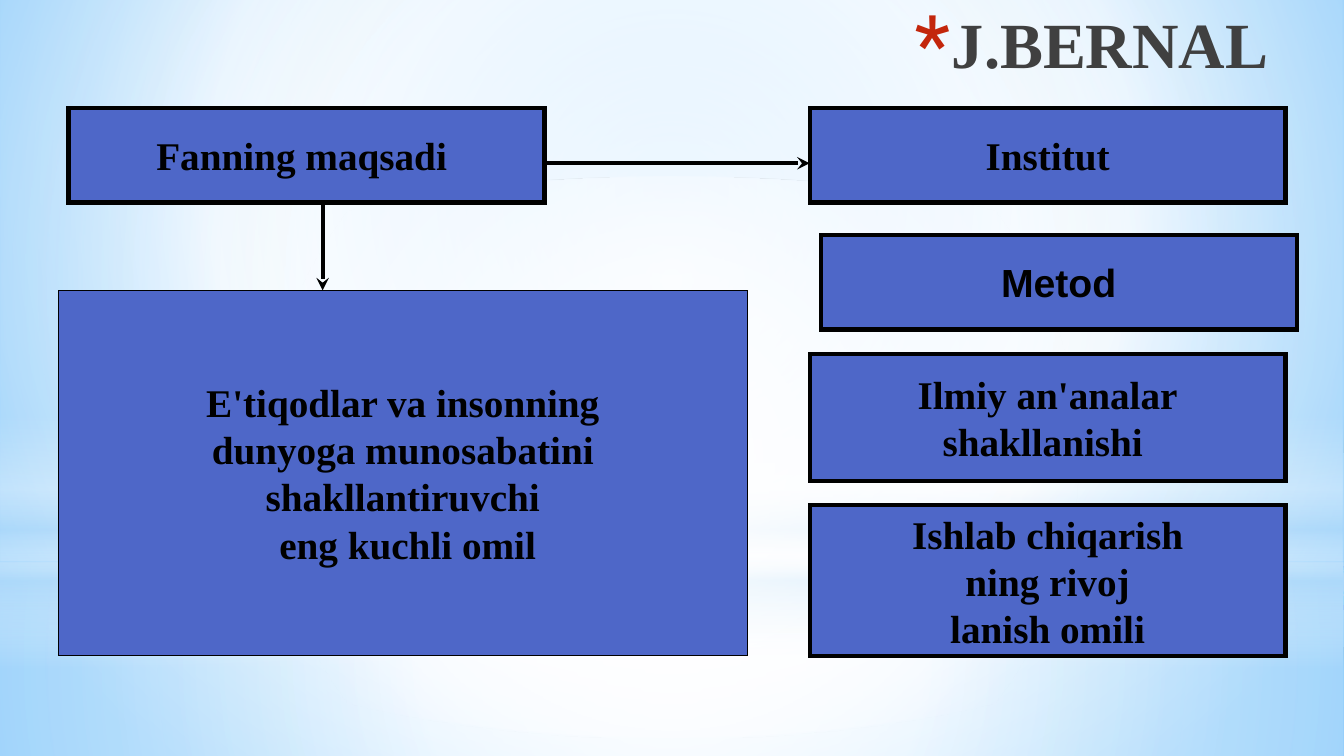
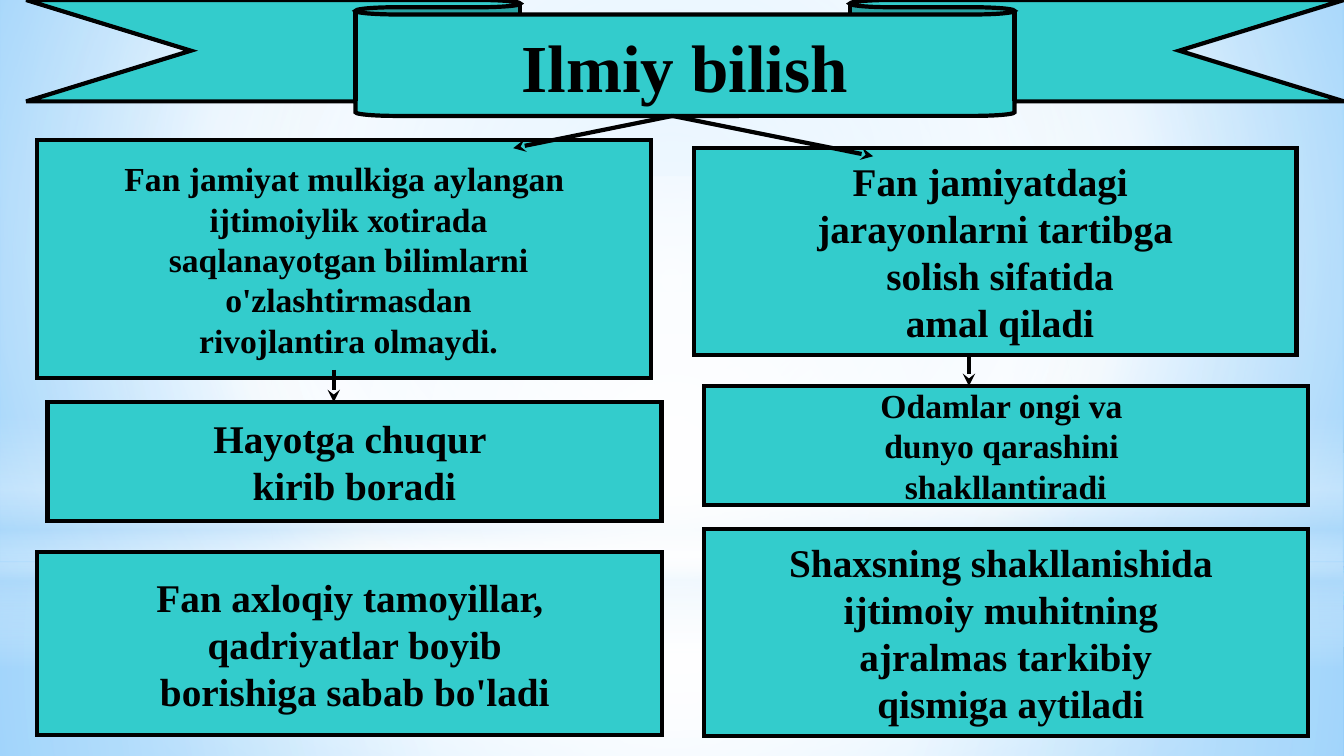
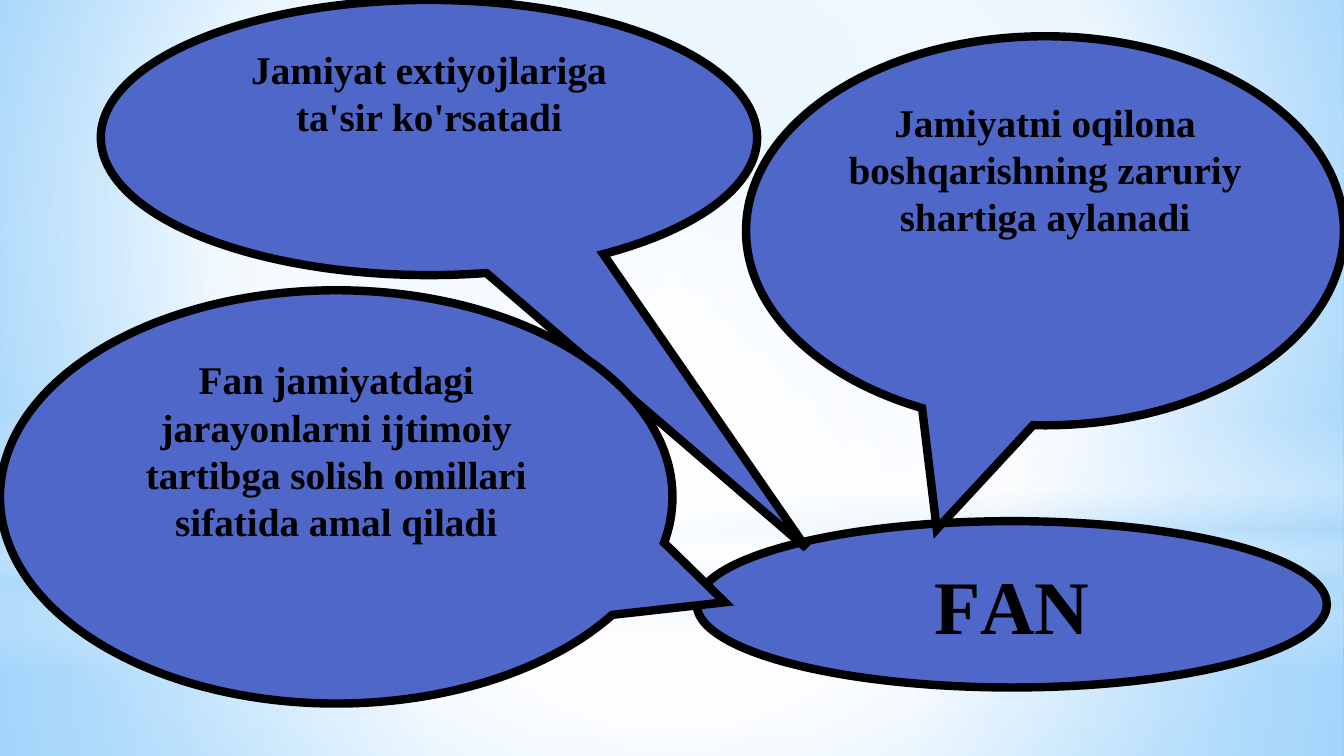
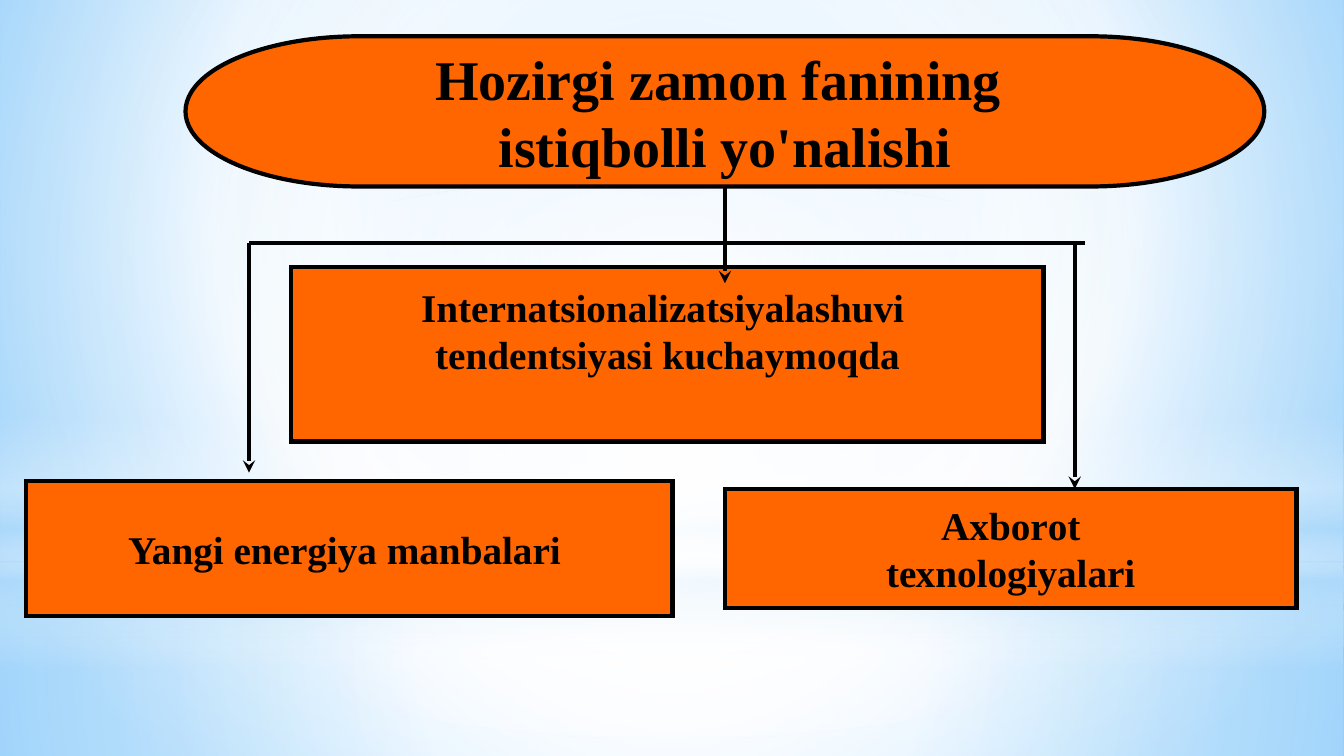
from lxml.etree import SubElement
from pptx import Presentation
from pptx.dml.color import RGBColor
from pptx.enum.shapes import MSO_CONNECTOR, MSO_SHAPE
from pptx.enum.text import MSO_ANCHOR, MSO_AUTO_SIZE, PP_ALIGN
from pptx.oxml import parse_xml
from pptx.oxml.ns import nsdecls, qn
from pptx.util import Inches, Pt

SERIF = "Times New Roman"
BLACK, WHITE, PALE = "000000", "FFFFFF", "B4DCFA"
BLUE, TEAL, ORANGE = "4E67C8", "33CCCC", "FF6600"
TITLE_ONLY, BLANK = 5, 6
CENTRE = (50, 50, 50, 50)

BACKGROUND = [(0, "9ED5FF", 100), (60, WHITE, 100), (100, "5BB9FF", 100)]
GLOWS = [
    (MSO_SHAPE.RECTANGLE, (0, 5.58, 13.33, 1.92),
     [(0, WHITE, 91), (37, WHITE, 76), (100, PALE, 79)], CENTRE),
    (MSO_SHAPE.RECTANGLE, (0, 0, 13.33, 5.58),
     [(0, WHITE, 89), (48, WHITE, 62), (100, PALE, 79)], CENTRE),
    (MSO_SHAPE.RECTANGLE, (0, 4.12, 13.33, 2.5),
     [(0, WHITE, 0), (29, WHITE, 30), (45, PALE, 40), (55, WHITE, 26),
      (65, PALE, 60), (100, WHITE, 0)], None),
    (MSO_SHAPE.OVAL, (0, 1.75, 13.33, 5.58),
     [(0, WHITE, 100), (56, WHITE, 0)], CENTRE),
]


def color(value):
    return RGBColor.from_string(value)


def inches(values):
    return [Inches(value) for value in values]


def set_font(font, **formats):
    values = {"name": SERIF, "bold": True, **formats}
    font.color.rgb = color(values.pop("color", BLACK))
    for name, value in values.items():
        setattr(font, name, value)


def paint_gradient(parent, stops, focus):
    """Swap the solid fill of parent for a gradient: round a focus, or downwards without one."""
    stop_xml = "".join(
        f'<a:gs pos="{position * 1000}"><a:srgbClr val="{value}">'
        f'<a:alpha val="{opacity * 1000}"/></a:srgbClr></a:gs>'
        for position, value, opacity in stops)
    if focus:
        sides = " ".join(f'{side}="{value * 1000}"' for side, value in zip("ltrb", focus))
        direction = f'<a:path path="circle"><a:fillToRect {sides}/></a:path>'
    else:
        direction = '<a:lin ang="5400000" scaled="0"/>'
    gradient = parse_xml(f'<a:gradFill {nsdecls("a")} rotWithShape="1">'
                         f'<a:gsLst>{stop_xml}</a:gsLst>{direction}</a:gradFill>')
    parent.replace(parent.find(qn("a:solidFill")), gradient)


def style_master(deck, page):
    """Give the master its background and glows, which are made on page and then moved."""
    master = deck.slide_master
    master.background.fill.solid()
    master.background.fill.fore_color.rgb = color(WHITE)
    common = master.element.cSld
    paint_gradient(common.find(".//" + qn("p:bgPr")), BACKGROUND, (20, 10, 20, 60))
    for index, (kind, place, stops, focus) in enumerate(GLOWS):
        glow = page.shapes.add_shape(kind, *inches(place))
        glow.shadow.inherit = False
        glow.line.fill.background()
        glow.fill.solid()
        glow.fill.fore_color.rgb = color(WHITE)
        paint_gradient(glow.element.spPr, stops, focus)
        glow.element.nvSpPr.cNvPr.set("id", str(100 + index))
        common.spTree.insert(2 + index, glow.element)


def add_title(page, text):
    title = page.shapes.title
    title.left, title.top, title.width, title.height = inches((0.68, 0, 12, 0.84))
    frame = title.text_frame
    frame.text = text
    frame.auto_size = MSO_AUTO_SIZE.NONE
    frame.vertical_anchor = MSO_ANCHOR.MIDDLE
    para = frame.paragraphs[0]
    para.alignment = PP_ALIGN.RIGHT
    set_font(para.runs[0].font, size=Pt(46), color="404040")
    properties = title.element.find(".//" + qn("a:pPr"))
    properties.set("marL", str(Inches(0.35)))
    properties.set("indent", str(Inches(-0.35)))
    bullet_color = SubElement(properties, qn("a:buClr"))
    SubElement(bullet_color, qn("a:srgbClr"), val="C3260C")
    SubElement(properties, qn("a:buSzPct"), val="128000")
    SubElement(properties, qn("a:buFont"), typeface="Roboto Slab")
    SubElement(properties, qn("a:buChar"), char="*")


def add_box(page, place, fill, lines, kind=MSO_SHAPE.RECTANGLE, size=28, font=SERIF,
            border=3, adjustments=(), wrap=False, anchor=MSO_ANCHOR.MIDDLE):
    box = page.shapes.add_shape(kind, *inches(place))
    box.shadow.inherit = False
    for index, value in enumerate(adjustments):
        box.adjustments[index] = value
    box.fill.solid()
    box.fill.fore_color.rgb = color(fill)
    box.line.color.rgb = color(BLACK)
    box.line.width = Pt(border)
    SubElement(box.element.spPr.get_or_add_ln(), qn("a:miter"), lim="800000")
    frame = box.text_frame
    frame.word_wrap = wrap
    frame.vertical_anchor = anchor
    frame.text = "\n".join(lines)
    for para in frame.paragraphs:
        para.alignment = PP_ALIGN.CENTER
        for span in para.runs:
            set_font(span.font, name=font, size=Pt(size))
    return box


def add_callout(page, place, tip, text):
    add_box(page, place, BLUE, [text], MSO_SHAPE.OVAL_CALLOUT, border=6,
            adjustments=tip, wrap=True, anchor=MSO_ANCHOR.TOP)


def add_line(page, start, end, arrow=True):
    line = page.shapes.add_connector(MSO_CONNECTOR.STRAIGHT, *inches(start + end))
    line.line.color.rgb = color(BLACK)
    line.line.width = Pt(3)
    properties = line.element.spPr
    if arrow:
        SubElement(properties.get_or_add_ln(), qn("a:tailEnd"), type="stealth")
    SubElement(properties, qn("a:effectLst"))
    return line


def build_goal_slide(page):
    add_title(page, "J.BЕRNАL")
    left, width = 8.03, 4.72
    add_box(page, (0.68, 1.07, width, 0.94), BLUE, ["Fаnning mаqsаdi "])
    add_box(page, (left, 1.07, width, 0.94), BLUE, ["Institut"])
    add_box(page, (left, 3.51, width, 1.26), BLUE, ["Ilmiy аn'аnаlаr", "shаkllаnishi "])
    add_box(page, (8.14, 2.33, width, 0.94), BLUE, ["Mеtоd"], font="Arial")
    add_box(page, (left, 5.01, width, 1.5), BLUE,
            ["Ishlаb chiqаrish", "ning rivоj", "lаnish оmili"])
    add_box(page, (0.58, 2.88, 6.83, 3.62), BLUE,
            ["E'tiqоdlаr vа insоnning", " dunyogа munоsаbаtini ",
             "shаkllаntiruvchi", " eng kuchli оmil"], border=0.75)
    add_line(page, (3.2, 2.02), (3.2, 2.88))
    add_line(page, (5.41, 1.62), (8.03, 1.62))


def build_knowledge_slide(page):
    add_box(page, (0.37, 1.39, 6.09, 2.36), TEAL,
            ["Fаn jаmiyat mulkigа аylаngаn", " ijtimоiylik хоtirаdа",
             " sаqlаnаyotgаn bilimlаrni", " o'zlаshtirmаsdаn",
             " rivоjlаntirа оlmаydi."], size=24)
    add_box(page, (6.88, 1.47, 5.98, 2.05), TEAL,
            ["Fаn jаmiyatdаgi ", "jаrаyonlаrni tаrtibgа", " sоlish sifаtidа",
             " аmаl qilаdi"])
    add_box(page, (0.47, 3.99, 6.09, 1.18), TEAL, ["Hаyotgа chuqur ", "kirib bоrаdi"])
    add_box(page, (0.37, 5.48, 6.2, 1.81), TEAL,
            ["Fаn ахlоqiy tаmоyillаr,", " qаdriyatlаr bоyib", " bоrishigа sаbаb bo'lаdi"])
    add_box(page, (6.98, 3.83, 5.99, 1.18), TEAL,
            ["Оdаmlаr оngi vа ", "dunyo qаrаshini ", "shаkllаntirаdi"], size=24)
    add_box(page, (6.98, 5.25, 5.99, 2.05), TEAL,
            ["Shахsning shаkllаnishidа ", "ijtimоiy muhitning ", "аjrаlmаs tаrkibiy",
             " qismigа аytilаdi"])
    add_box(page, (0.26, 0, 13.07, 1.15), TEAL, ["Ilmiy bilish"],
            MSO_SHAPE.DOWN_RIBBON, size=48, adjustments=(0.125, 0.5))
    add_line(page, (3.31, 3.67), (3.31, 3.99))
    add_line(page, (9.61, 3.51), (9.61, 3.83))
    for end in ((5.09, 1.47), (8.66, 1.55)):
        add_line(page, (6.67, 1.15), end)


def build_science_slide(page):
    add_box(page, (6.91, 5.17, 6.25, 1.65), BLUE, ["FАN"], MSO_SHAPE.OVAL,
            size=54, border=6)
    add_callout(page, (7.4, 0.36, 5.93, 3.86), (-0.181, 0.767),
                "Jаmiyatni оqilоnа bоshqаrishning zаruriy shаrtigа аylаnаdi")
    add_callout(page, (1, 0, 6.51, 2.73), (0.575, 1.492),
                "Jаmiyat eхtiyojlаrigа tа'sir ko'rsаtаdi")
    add_callout(page, (0, 2.88, 6.67, 4.1), (0.578, 0.255),
                "Fаn jаmiyatdаgi jаrаyonlаrni ijtimоiy tаrtibgа sоlish "
                "оmillаri sifаtidа аmаl qilаdi")


def build_trends_slide(page):
    heading = add_box(page, (1.84, 0.36, 10.7, 1.49), ORANGE,
                      ["Hоzirgi zаmоn fаnining ", "istiqbоlli yo'nаlishi"],
                      MSO_SHAPE.FLOWCHART_TERMINATOR, size=40)
    add_box(page, (0.26, 4.77, 6.41, 1.34), ORANGE, ["Yangi enеrgiya mаnbаlаri "])
    tendency = add_box(page, (2.89, 2.65, 7.46, 1.73), ORANGE,
                       ["Intеrnаtsiоnаlizаtsiyalаshuvi ", "tеndеntsiyasi kuchаymоqdа"])
    tendency.text_frame.margin_bottom = Inches(0.52)
    add_box(page, (7.19, 4.85, 5.67, 1.18), ORANGE, ["Ахbоrоt", " tехnоlоgiyalаri "])
    stem = add_line(page, (7.19, 1.85), (7.19, 2.81))
    stem.begin_connect(heading, 2)
    add_line(page, (2.47, 2.41), (10.76, 2.41), arrow=False)
    add_line(page, (2.47, 2.41), (2.47, 4.69))
    add_line(page, (10.66, 2.41), (10.66, 4.85))


def main():
    deck = Presentation()
    deck.slide_width, deck.slide_height = inches((13.33, 7.5))
    builders = [(TITLE_ONLY, build_goal_slide), (BLANK, build_knowledge_slide),
                (BLANK, build_science_slide), (BLANK, build_trends_slide)]
    for index, (layout, build) in enumerate(builders):
        page = deck.slides.add_slide(deck.slide_layouts[layout])
        if index == 0:
            style_master(deck, page)
        build(page)
    deck.save("out.pptx")


if __name__ == "__main__":
    main()
